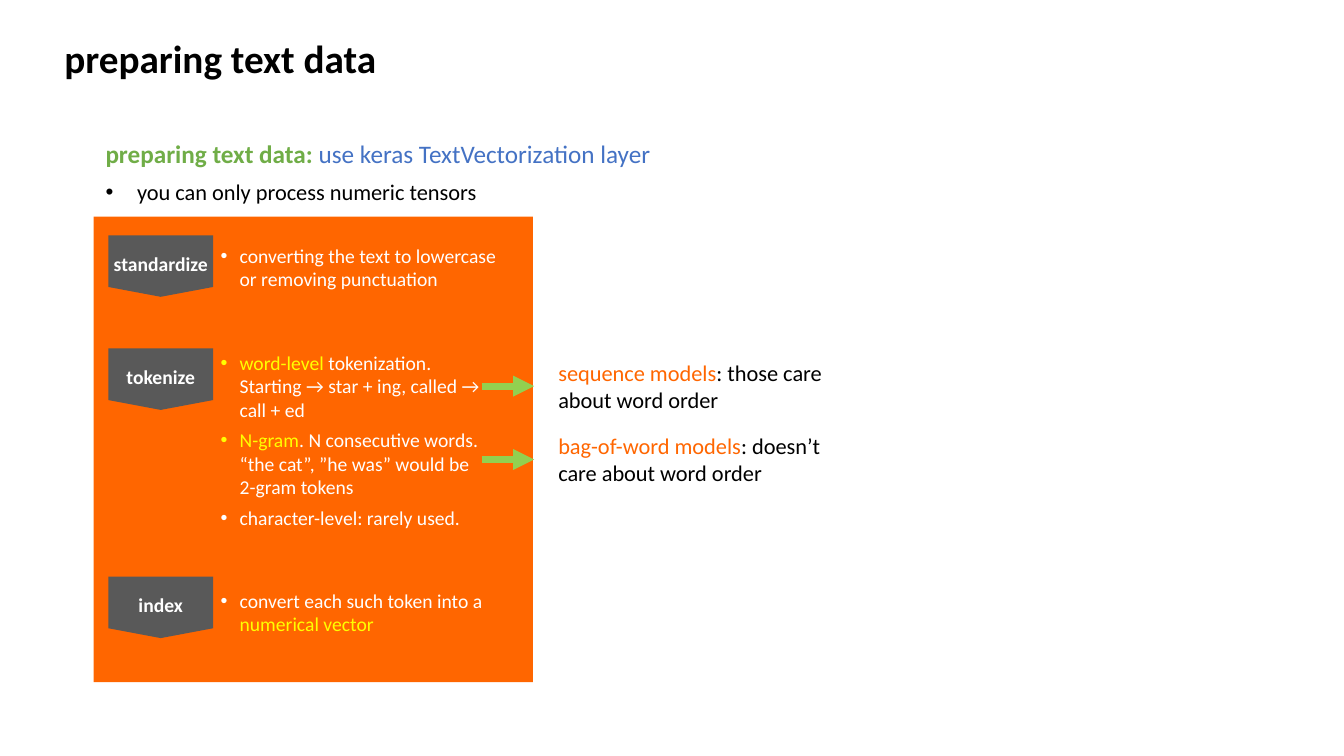
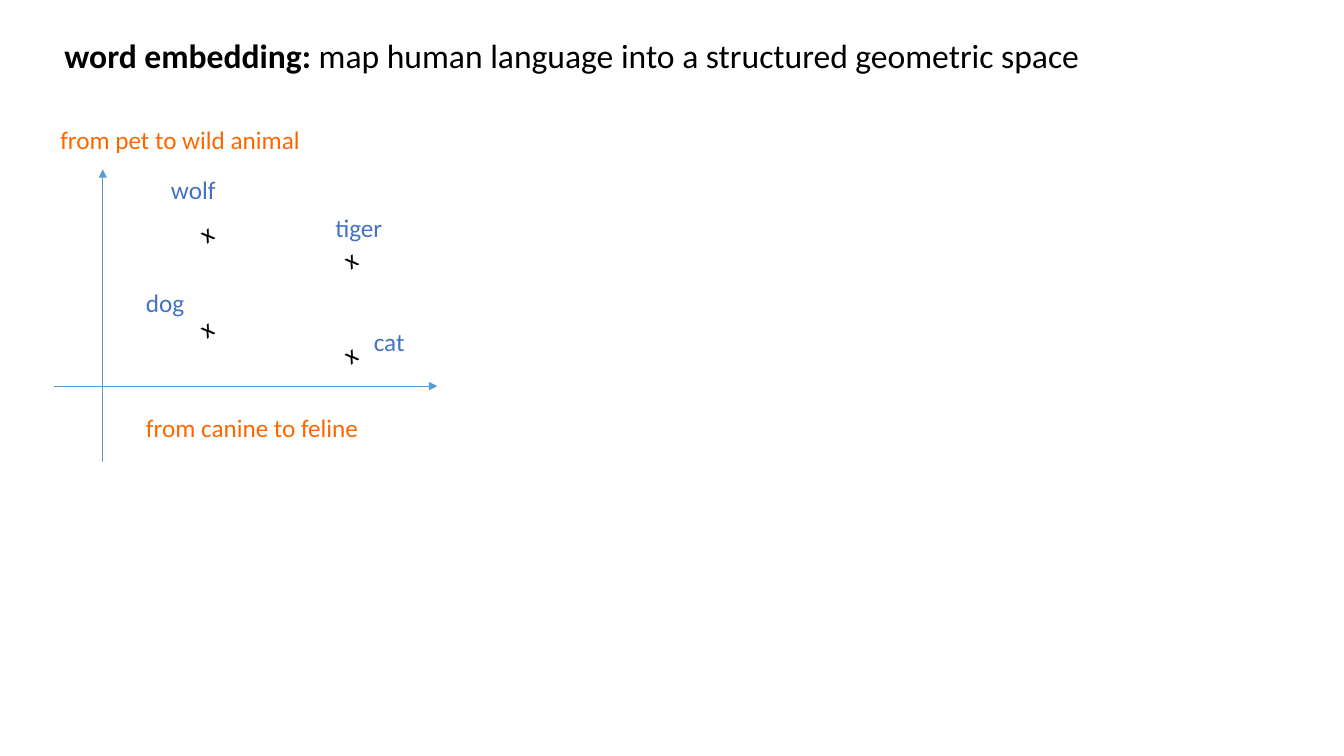
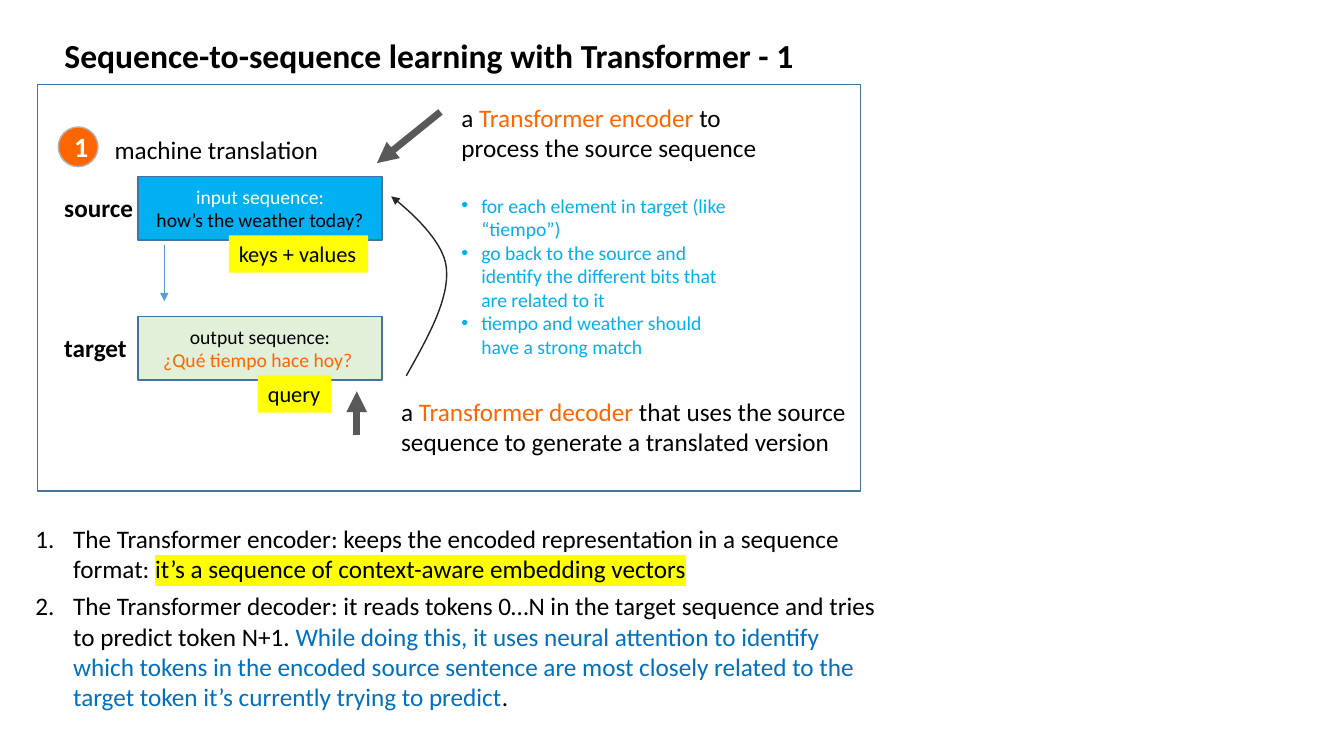
from dataclasses import dataclass
from typing import Optional

from lxml.etree import SubElement
from pptx import Presentation
from pptx.dml.color import RGBColor
from pptx.enum.shapes import MSO_CONNECTOR, MSO_SHAPE
from pptx.enum.text import MSO_ANCHOR, MSO_AUTO_SIZE, PP_ALIGN
from pptx.oxml.ns import qn
from pptx.util import Cm, Pt


@dataclass(frozen=True)
class Theme:
    font: str = "Calibri"
    black: str = "000000"
    white: str = "FFFFFF"
    orange: str = "FF6600"
    yellow: str = "FFFF00"
    green: str = "70AD47"
    lime: str = "92D050"
    pale_green: str = "E2F0D9"
    blue: str = "4472C4"
    sky: str = "00B0F0"
    deep_blue: str = "0070C0"
    axis: str = "5B9BD5"
    border: str = "43739E"
    gray: str = "595959"
    silver: str = "B2B2B2"
    charcoal: str = "262626"
    title_large: int = 28
    title: int = 24
    badge: int = 20
    heading: int = 18
    text: int = 16
    small: int = 14
    thin: float = 0.5
    medium: float = 1
    thick: float = 5


THEME = Theme()


@dataclass(frozen=True)
class Run:
    text: str
    color: str = THEME.black
    bold: bool = False
    highlight: Optional[str] = None


@dataclass(frozen=True)
class ListStyle:
    indent: float
    space_after: float = 0
    numbered: bool = False


# Content: a text is a list of paragraphs, a paragraph is a list of runs.
# Places are in centimetres: left, top, width, height.
TITLE_BOX = (1.37, 0.74, 30.43, 1.27)

PREPARE_TITLE = [Run("preparing text data", bold=True)]
PREPARE_HEADING = [[Run("preparing text data: ", THEME.green, True),
                    Run("use keras TextVectorization layer", THEME.blue)]]
PREPARE_BODY = [[Run("you can only process numeric tensors")]]
STEP_PANEL = (2.36, 5.46, 11.07, 11.73)
# step name, arrow top, text top, text width, text height, text
STEPS = [
    ("standardize", 5.93, 6.02, 7.75, 1.45,
     [[Run("converting the text to lowercase or removing punctuation", THEME.white)]]),
    ("tokenize", 8.78, 8.71, 7.14, 4.8,
     [[Run("word-level ", THEME.yellow),
       Run("tokenization. Starting → star + ing, called → call + ed", THEME.white)],
      [Run("N-gram", THEME.yellow),
       Run(". N consecutive words. “the cat”, ”he was” would be 2-gram tokens",
           THEME.white)],
      [Run("character-level: rarely used.", THEME.white)]]),
    ("index", 14.53, 14.71, 7.14, 1.45,
     [[Run("convert each such token into a ", THEME.white),
       Run("numerical vector", THEME.yellow)]]),
]
MODELS = [
    (9.73, "sequence models", ": those care about word order"),
    (11.58, "bag-of-word models", ": doesn’t care about word order"),
]

EMBEDDING_TITLE = [Run("word embedding: ", bold=True),
                   Run("map human language into a structured geometric space")]
AXES = [((1.37, 9.73), (11.02, 9.73)), ((2.59, 11.63), (2.59, 4.27))]
AXIS_LABELS = [("from pet to wild animal", (1.27, 3.02, 6.63, 1.02)),
               ("from canine to feline", (3.43, 10.26, 5.92, 1.02))]
# animal, mark left and top, label box
ANIMALS = [
    ("wolf", (4.8, 5.36), (4.06, 4.27, 1.65, 1.02)),
    ("tiger", (8.43, 6.02), (8.2, 5.23, 1.7, 1.02)),
    ("dog", (4.8, 7.75), (3.43, 7.11, 1.5, 1.02)),
    ("cat", (8.43, 8.41), (9.17, 8.1, 1.3, 1.02)),
]
MARK_ROTATION = 325.7

TRANSFORMER_TITLE = [
    Run("Sequence-to-sequence learning with Transformer - 1", bold=True)]
TRANSLATION_FRAME = (0.94, 2.13, 20.75, 10.24)
# side label, box top, fill, box text, tag, tag left, tag width
SEQUENCES = [
    ("source", 4.45, THEME.sky,
     [[Run("input sequence:", THEME.white)], [Run("how’s the weather today?")]],
     "keys + values", 5.77, 3.51),
    ("target", 7.98, THEME.pale_green,
     [[Run("output sequence:")], [Run("¿Qué tiempo hace hoy? ", THEME.orange)]],
     "query", 6.5, 1.85),
]
ATTENTION_NOTES = [[Run(text, THEME.sky)] for text in (
    "for each element in target (like “tiempo”)",
    "go back to the source and identify the different bits that are related to it",
    "tiempo and weather should have a strong match",
)]
# part, rest of the sentence, text box, arrow start, arrow end
PARTS = [
    ("Transformer encoder ", "to process the source sequence",
     (11.38, 2.46, 8.89, 1.8), (11.1, 2.82), (9.5, 4.11)),
    ("Transformer decoder ",
     "that uses the source sequence to generate a translated version",
     (9.86, 9.86, 13.49, 1.8), (8.99, 10.97), (8.99, 9.86)),
]
# each curve: start, two control points, end
ATTENTION_CURVES = [
    ((10.24, 9.47), (10.8, 8.48), (11.33, 7.52), (11.25, 6.76)),
    ((11.25, 6.76), (11.2, 5.99), (10.03, 5.08), (9.86, 4.95)),
]
TRANSFORMER_BODY = [
    [Run("The Transformer encoder: keeps the encoded representation in a "
         "sequence format: "),
     Run("it’s a sequence of context-aware embedding vectors",
         highlight=THEME.yellow)],
    [Run("The Transformer decoder: it reads tokens 0…N in the target sequence "
         "and tries to predict token N+1. "),
     Run("While doing this, it uses neural attention to identify which tokens in "
         "the encoded source sentence are most closely related to the target "
         "token it’s currently trying to predict", THEME.deep_blue),
     Run(".")],
]


def rgb(color):
    return RGBColor.from_string(color)


def lengths(values):
    return [Cm(value) for value in values]


def format_list_item(paragraph, style):
    properties = paragraph._p.get_or_add_pPr()
    properties.set("marL", str(Cm(style.indent)))
    properties.set("indent", str(-Cm(style.indent)))
    if style.numbered:
        SubElement(properties, qn("a:buFont"), typeface="+mj-lt")
        SubElement(properties, qn("a:buAutoNum"), type="arabicPeriod")
    else:
        SubElement(properties, qn("a:buFont"), typeface="Arial")
        SubElement(properties, qn("a:buChar"), char="•")


def write(shape, paragraphs, size, align=PP_ALIGN.LEFT, list_style=None):
    frame = shape.text_frame
    for index, runs in enumerate(paragraphs):
        paragraph = frame.add_paragraph() if index else frame.paragraphs[0]
        paragraph.alignment = align
        paragraph.space_before = Pt(0)
        paragraph.space_after = Pt(list_style.space_after if list_style else 0)
        if list_style:
            format_list_item(paragraph, list_style)
        for item in runs:
            run = paragraph.add_run()
            run.text = item.text
            run.font.size = Pt(size)
            run.font.bold = item.bold
            run.font.color.rgb = rgb(item.color)
            if item.highlight:
                mark = SubElement(run._r.get_or_add_rPr(), qn("a:highlight"))
                SubElement(mark, qn("a:srgbClr"), val=item.highlight)
            run.font.name = THEME.font


def place(shape, box):
    shape.left, shape.top, shape.width, shape.height = lengths(box)


def add_slide(presentation, title, size, body=None):
    """Add a slide; body is (paragraphs, size, box, list style)."""
    slide = presentation.slides.add_slide(presentation.slide_layouts[1 if body else 5])
    place(slide.shapes.title, TITLE_BOX)
    write(slide.shapes.title, [title], size)
    if body:
        paragraphs, body_size, box, list_style = body
        place(slide.placeholders[1], box)
        write(slide.placeholders[1], paragraphs, body_size, list_style=list_style)
    for placeholder in slide.placeholders:
        placeholder.text_frame.word_wrap = True
        placeholder.text_frame.auto_size = MSO_AUTO_SIZE.NONE
        placeholder.text_frame.vertical_anchor = MSO_ANCHOR.TOP
    return slide


def add_text(slide, box, paragraphs, size, wrap=True, list_style=None, fill=None):
    shape = slide.shapes.add_textbox(*lengths(box))
    shape.text_frame.word_wrap = wrap
    shape.text_frame.auto_size = MSO_AUTO_SIZE.SHAPE_TO_FIT_TEXT
    if fill:
        shape.fill.solid()
        shape.fill.fore_color.rgb = rgb(fill)
    write(shape, paragraphs, size, list_style=list_style)
    return shape


def paint(shape, fill=None, line=None):
    shape.shadow.inherit = False
    if fill:
        shape.fill.solid()
        shape.fill.fore_color.rgb = rgb(fill)
    else:
        shape.fill.background()
    if line:
        shape.line.color.rgb = rgb(line)
        shape.line.width = Pt(THEME.medium)
    else:
        shape.line.fill.background()


def add_box(slide, kind, box, fill=None, line=None):
    shape = slide.shapes.add_shape(kind, *lengths(box))
    paint(shape, fill, line)
    shape.text_frame.vertical_anchor = MSO_ANCHOR.MIDDLE
    return shape


def add_arrowhead(shape):
    line = shape._element.spPr.find(qn("a:ln"))
    SubElement(line, qn("a:tailEnd"), type="triangle")


def add_arrow(slide, start, end, color, width):
    arrow = slide.shapes.add_connector(MSO_CONNECTOR.STRAIGHT, *lengths(start + end))
    arrow.line.color.rgb = rgb(color)
    arrow.line.width = Pt(width)
    add_arrowhead(arrow)
    SubElement(arrow._element.spPr, qn("a:effectLst"))


def add_step_arrow(slide, name, left, top, width, height):
    """Add a pentagon turned to point down, with upright text."""
    turned_box = (left + (width - height) / 2, top - (width - height) / 2, height, width)
    shape = add_box(slide, MSO_SHAPE.PENTAGON, turned_box, THEME.gray)
    shape.rotation = 90
    shape.adjustments[0] = 0.16
    frame = shape.text_frame
    frame.margin_left = frame.margin_right = frame.margin_top = frame.margin_bottom = 0
    frame._txBody.bodyPr.set("vert", "vert270")
    write(shape, [[Run(name, THEME.white, True)]], THEME.small, PP_ALIGN.CENTER)


def curve_points(curves, steps=16):
    """Sample joined cubic Bézier curves."""
    points = [curves[0][0]]
    for curve in curves:
        for step in range(1, steps + 1):
            t = step / steps
            weights = ((1 - t) ** 3, 3 * t * (1 - t) ** 2, 3 * t * t * (1 - t), t ** 3)
            points.append(tuple(
                sum(weight * point[axis] for weight, point in zip(weights, curve))
                for axis in (0, 1)))
    return points


def add_curved_arrow(slide, curves, color):
    start, *others = [lengths(point) for point in curve_points(curves)]
    builder = slide.shapes.build_freeform(*start)
    builder.add_line_segments(others, close=False)
    shape = builder.convert_to_shape()
    paint(shape, line=color)
    add_arrowhead(shape)


def build_preparing(presentation):
    body = (PREPARE_BODY, THEME.text, (2.41, 4.37, 10.67, 0.94), ListStyle(0.79))
    slide = add_slide(presentation, PREPARE_TITLE, THEME.title_large, body)
    add_box(slide, MSO_SHAPE.RECTANGLE, STEP_PANEL, THEME.orange)
    add_text(slide, (2.41, 3.35, 14.58, 1.02), PREPARE_HEADING, THEME.heading, wrap=False)
    for name, arrow_top, text_top, width, height, paragraphs in STEPS:
        add_step_arrow(slide, name, 2.73, arrow_top, 2.64, 1.55)
        space_after = 5 if len(paragraphs) > 1 else 0
        add_text(slide, (5.31, text_top, width, height), paragraphs, THEME.small,
                 list_style=ListStyle(0.48, space_after))
    for middle, model, meaning in MODELS:
        add_arrow(slide, (12.14, middle), (13.46, middle), THEME.lime, THEME.thick)
        add_text(slide, (13.82, middle - 0.81, 7.47, 1.63),
                 [[Run(model, THEME.orange), Run(meaning)]], THEME.text)


def build_embedding(presentation):
    slide = add_slide(presentation, EMBEDDING_TITLE, THEME.title)
    for start, end in AXES:
        add_arrow(slide, start, end, THEME.axis, THEME.thin)
    for label, box in AXIS_LABELS:
        add_text(slide, box, [[Run(label, THEME.orange)]], THEME.heading, wrap=False)
    for animal, corner, label_box in ANIMALS:
        mark = add_text(slide, corner + (0.79, 1.02), [[Run("x")]], THEME.heading,
                        wrap=False)
        mark.rotation = MARK_ROTATION
        add_text(slide, label_box, [[Run(animal, THEME.blue)]], THEME.heading, wrap=False)


def build_transformer(presentation):
    body = (TRANSFORMER_BODY, THEME.heading, (0.64, 13.06, 21.69, 5.05),
            ListStyle(0.95, 5, numbered=True))
    slide = add_slide(presentation, TRANSFORMER_TITLE, THEME.title, body)
    add_box(slide, MSO_SHAPE.RECTANGLE, TRANSLATION_FRAME, line=THEME.border)

    badge = add_box(slide, MSO_SHAPE.OVAL, (1.47, 3.2, 1, 1), THEME.orange, THEME.silver)
    write(badge, [[Run("1", THEME.white, True)]], THEME.badge, PP_ALIGN.CENTER)
    add_text(slide, (2.64, 3.25, 5.69, 1.02), [[Run("machine translation")]],
             THEME.heading, wrap=False)

    for label, top, fill, paragraphs, tag, tag_left, tag_width in SEQUENCES:
        box = add_box(slide, MSO_SHAPE.RECTANGLE, (3.48, top, 6.15, 1.6), fill,
                      THEME.border)
        write(box, paragraphs, THEME.small, PP_ALIGN.CENTER)
        add_text(slide, (1.37, top + 0.27, 2.25, 1.02), [[Run(label, bold=True)]],
                 THEME.heading, wrap=False)
        add_text(slide, (tag_left, top + 1.48, tag_width, 0.94), [[Run(tag)]],
                 THEME.text, wrap=False, fill=THEME.yellow)
    add_arrow(slide, (4.14, 6.17), (4.14, 7.59), THEME.axis, THEME.thin)

    add_text(slide, (11.38, 4.75, 7.54, 4.45), ATTENTION_NOTES, THEME.small,
             list_style=ListStyle(0.5))
    add_curved_arrow(slide, ATTENTION_CURVES, THEME.charcoal)
    for part, purpose, box, start, end in PARTS:
        add_arrow(slide, start, end, THEME.gray, THEME.thick)
        add_text(slide, box, [[Run("a "), Run(part, THEME.orange), Run(purpose)]],
                 THEME.heading)


def main():
    presentation = Presentation()
    presentation.slide_width, presentation.slide_height = Cm(33.87), Cm(19.05)
    build_preparing(presentation)
    build_embedding(presentation)
    build_transformer(presentation)
    presentation.save("out.pptx")


if __name__ == "__main__":
    main()
